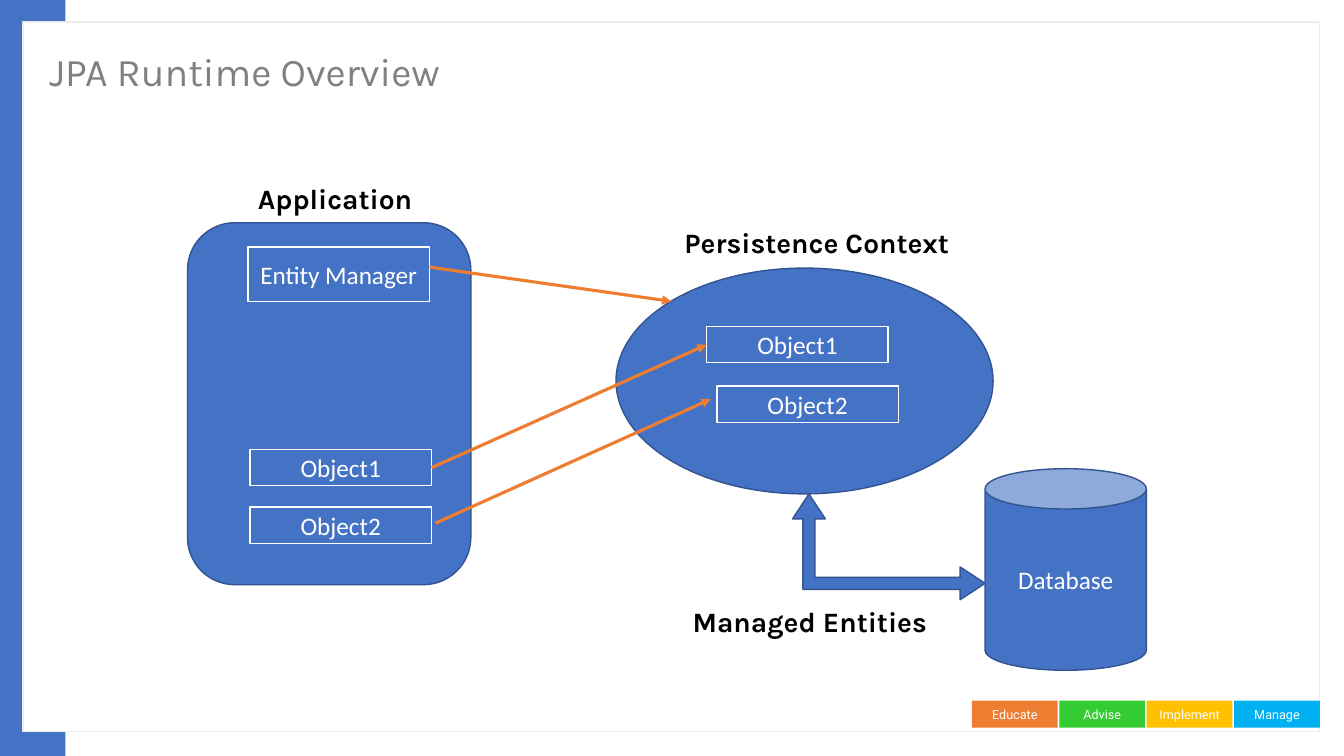
from lxml import etree
from pptx import Presentation
from pptx.dml.color import RGBColor
from pptx.enum.shapes import MSO_CONNECTOR, MSO_SHAPE
from pptx.enum.text import MSO_ANCHOR, PP_ALIGN
from pptx.oxml.ns import qn
from pptx.util import Inches, Pt

RECT = MSO_SHAPE.RECTANGLE
ROUNDED = MSO_SHAPE.ROUNDED_RECTANGLE
ELLIPSE = MSO_SHAPE.OVAL
CAN = MSO_SHAPE.CAN
LEFT_UP_ARROW = MSO_SHAPE.LEFT_UP_ARROW
STRAIGHT = MSO_CONNECTOR.STRAIGHT
MIDDLE, TOP = MSO_ANCHOR.MIDDLE, MSO_ANCHOR.TOP
LEFT, CENTER = PP_ALIGN.LEFT, PP_ALIGN.CENTER
LEFT_SIDE, RIGHT_SIDE = 1, 3

COLORS = {
    "blue": "4472C4", "outline": "325491", "white": "FFFFFF",
    "frame": "EDEDED", "title": "808080", "black": "000000",
    "orange": "ED7D31", "green": "33CC33", "yellow": "FFC000",
    "sky": "00B0F0",
}


def rgb(name):
    return RGBColor.from_string(COLORS[name])


def write(sp, text, size=18, font="Calibri", color="white", bold=False,
          align=CENTER, anchor=MIDDLE, spacing=None):
    tf = sp.text_frame
    tf.word_wrap = True
    tf.vertical_anchor = anchor
    p = tf.paragraphs[0]
    p.alignment = align
    if spacing:
        p.line_spacing = spacing
    r = p.add_run()
    r.text = text
    r.font.size = Pt(size)
    r.font.name = font
    r.font.bold = bold
    r.font.color.rgb = rgb(color)


def add_shape(s, kind, x, y, w, h, fill="blue", line=None):
    sp = s.shapes.add_shape(kind, Inches(x), Inches(y), Inches(w), Inches(h))
    sp.shadow.inherit = False
    sp.fill.solid()
    sp.fill.fore_color.rgb = rgb(fill)
    if line:
        sp.line.color.rgb = rgb(line)
        sp.line.width = Pt(1)
    else:
        sp.line.fill.background()
    return sp


def add_box(s, text, x, y, h=0.36):
    sp = add_shape(s, RECT, x, y, 1.8, h, line="white")
    write(sp, text)
    return sp


def add_text(s, text, x, y, w, h, **fmt):
    sp = s.shapes.add_textbox(Inches(x), Inches(y), Inches(w), Inches(h))
    write(sp, text, font="Karla", align=LEFT, **fmt)


def add_arrow(s, start, end):
    c = s.shapes.add_connector(STRAIGHT, *(Inches(v) for v in start + end))
    c.line.color.rgb = rgb("orange")
    c.line.width = Pt(2.25)
    etree.SubElement(c.line._get_or_add_ln(), qn("a:tailEnd"), type="triangle")
    etree.SubElement(c._element.spPr, qn("a:effectLst"))
    return c


def add_frame(s):
    add_shape(s, RECT, 0, 0, 0.65, 7.5)
    add_shape(s, RECT, 0.23, 0.22, 12.86, 7.04, fill="white", line="frame")
    tiles = [("Educate", "orange"), ("Advise", "green"),
             ("Implement", "yellow"), ("Manage", "sky")]
    for i, (text, fill) in enumerate(tiles):
        sp = add_shape(s, RECT, 9.64 + i * 2.6 / 3, 6.95, 0.85, 0.27, fill=fill)
        sp.text_frame.margin_left = sp.text_frame.margin_right = Inches(0.05)
        write(sp, text, size=9, font="Roboto")


def main():
    prs = Presentation()
    prs.slide_width, prs.slide_height = Inches(13.33), Inches(7.5)
    s = prs.slides.add_slide(prs.slide_layouts[6])

    add_frame(s)
    add_text(s, "JPA Runtime Overview", 0.39, 0.3, 10.32, 0.87,
             size=28, color="title", anchor=MIDDLE, spacing=0.9)

    # Application
    add_shape(s, ROUNDED, 1.86, 2.21, 2.81, 3.59, line="outline")
    add_box(s, "Entity Manager", 2.46, 2.45, h=0.54)
    app_object1 = add_box(s, "Object1", 2.48, 4.46)
    add_box(s, "Object2", 2.48, 5.03)

    # Persistence context
    add_shape(s, ELLIPSE, 6.11, 2.66, 3.74, 2.24, line="outline")
    context_object1 = add_box(s, "Object1", 7.01, 3.24)
    add_box(s, "Object2", 7.11, 3.83)

    # Database and its two-way link
    database = add_shape(s, CAN, 9.77, 4.65, 1.6, 2, line="outline")
    write(database, "Database")
    link = add_shape(s, LEFT_UP_ARROW, 8.29, 4.47, 1.05, 1.91, line="outline")
    link.rotation = 90
    for i, value in enumerate((0.114, 0.155, 0.236)):
        link.adjustments[i] = value

    # Labels
    for text, x, y, w in [("Managed Entities", 6.77, 5.95, 2.61),
                          ("Persistence Context", 6.69, 2.19, 3.09),
                          ("Application", 2.46, 1.75, 2.61)]:
        add_text(s, text, x, y, w, 0.44, size=20, color="black", bold=True,
                 anchor=TOP)

    # References into the context
    add_arrow(s, (4.26, 2.65), (6.66, 2.99))
    reference = add_arrow(s, (4.28, 4.64), (7.01, 3.42))
    reference.begin_connect(app_object1, RIGHT_SIDE)
    reference.end_connect(context_object1, LEFT_SIDE)
    add_arrow(s, (4.32, 5.19), (7.05, 3.96))

    prs.save("out.pptx")


if __name__ == "__main__":
    main()
